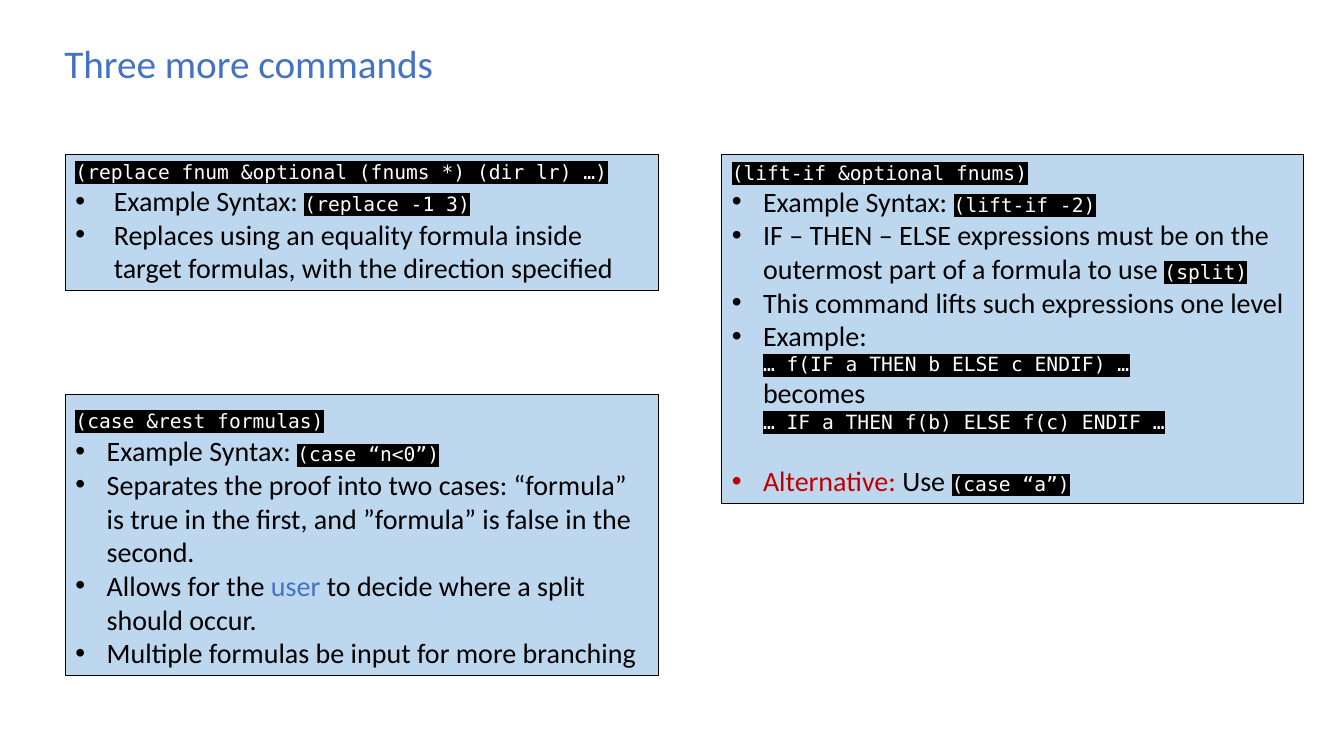
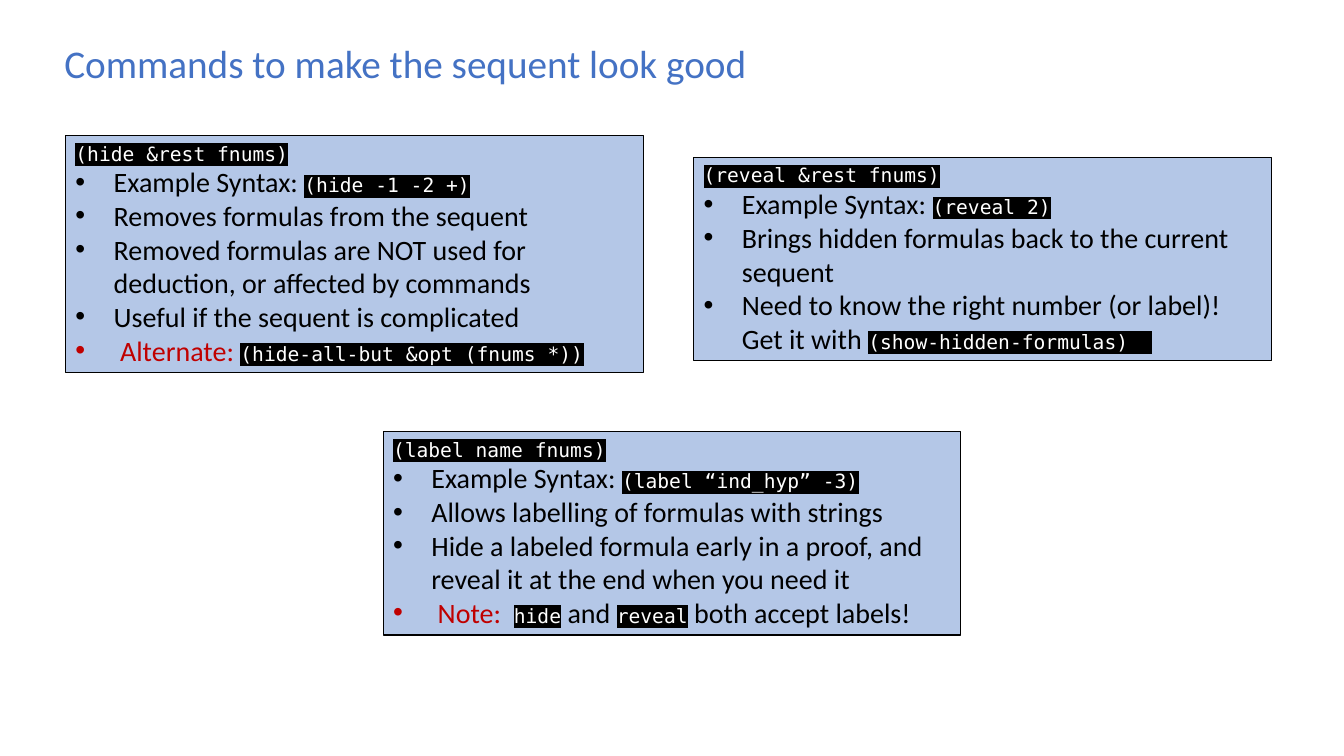
"""Build two slides that explain prover commands in boxed bullet lists."""
from copy import deepcopy

from lxml import etree
from pptx import Presentation
from pptx import util as u
from pptx.dml.color import RGBColor
from pptx.enum import shapes, text
from pptx.oxml import ns

BLACK = RGBColor(0x00, 0x00, 0x00)
WHITE = RGBColor(0xFF, 0xFF, 0xFF)
BLUE = RGBColor(0x44, 0x72, 0xC4)
RED = RGBColor(0xC0, 0x00, 0x00)
SKY = RGBColor(0xBD, 0xD7, 0xEE)
PERIWINKLE = RGBColor(0xB4, 0xC7, 0xE7)

SANS = {"name": "Calibri", "size": u.Pt(20)}
MONO = {"name": "DejaVu Sans Mono", "size": u.Pt(14)}
FORMATS = {
    "title": ({"name": "Calibri", "size": u.Pt(28)}, BLUE),
    "body": (SANS, BLACK),
    "blue": (SANS, BLUE),
    "red": (SANS, RED),
    "code": (MONO, WHITE),
}
FRAME = {
    "word_wrap": True,
    "auto_size": text.MSO_AUTO_SIZE.SHAPE_TO_FIT_TEXT,
    "vertical_anchor": text.MSO_ANCHOR.MIDDLE,
}
LEFT = 0.65
WIDE, NARROW = 0.38, 0.31


def code(words):
    return "code", words


def example(command):
    return ["Example Syntax: ", code(command)]


class Deck:
    def __init__(self):
        self.prs = Presentation()
        self.prs.slide_width = u.Inches(13.33)
        self.prs.slide_height = u.Inches(7.5)
        self.s = None

    def slide(self, title, width):
        self.s = self.prs.slides.add_slide(self.prs.slide_layouts[6])
        sp = self.s.shapes.add_textbox(*map(u.Inches, (0.54, 0.34, width, 0.57)))
        sp.text_frame.word_wrap = False
        self.run(sp.text_frame.paragraphs[0], "title", title)

    def run(self, p, style, words):
        r = p.add_run()
        r.text = words
        values, color = FORMATS[style]
        for name, value in values.items():
            setattr(r.font, name, value)
        r.font.color.rgb = color
        rpr = r._r.get_or_add_rPr()
        if style == "code":
            mark = etree.Element(ns.qn("a:highlight"))
            etree.SubElement(mark, ns.qn("a:srgbClr"), val=str(BLACK))
            rpr.find(ns.qn("a:solidFill")).addnext(mark)
        return rpr

    def line(self, p, parts):
        for part in parts:
            style, words = ("body", part) if isinstance(part, str) else part
            rpr = self.run(p, style, words.rstrip("\n"))
            if words.endswith("\n"):
                p.add_line_break()
                p._p.findall(ns.qn("a:br"))[-1].insert(0, deepcopy(rpr))

    def bullet(self, p, indent):
        ppr = p._p.get_or_add_pPr()
        ppr.set("marL", str(u.Inches(indent)))
        ppr.set("indent", str(-u.Inches(indent)))
        etree.SubElement(ppr, ns.qn("a:buFont"), typeface="Arial")
        etree.SubElement(ppr, ns.qn("a:buChar"), char="•")

    def box(self, place, fill, heading, bullets, indent=WIDE):
        sp = self.s.shapes.add_shape(shapes.MSO_SHAPE.RECTANGLE, *map(u.Inches, place))
        sp.shadow.inherit = False
        sp.fill.solid()
        sp.fill.fore_color.rgb = fill
        sp.line.color.rgb = BLACK
        sp.line.width = u.Pt(0.75)
        tf = sp.text_frame
        for name, value in FRAME.items():
            setattr(tf, name, value)
        p = tf.paragraphs[0]
        p.alignment = text.PP_ALIGN.LEFT
        self.line(p, heading)
        for parts in bullets:
            p = tf.add_paragraph()
            p.alignment = text.PP_ALIGN.LEFT
            self.bullet(p, indent)
            self.line(p, parts)
        return tf


deck = Deck()

deck.slide("Three more commands", 4.24)
deck.box((LEFT, 1.53, 5.88, 1.35), SKY,
         [code("(replace fnum &optional (fnums *) (dir lr) …)")], [
    example("(replace -1 3)"),
    ["Replaces using an equality formula inside target formulas, "
     "with the direction specified"],
])
deck.box((LEFT, 3.91, 5.88, 2.79), SKY, [code("(case &rest formulas)"), " "], [
    example("(case “n<0”)"),
    ["Separates the proof into two cases: “formula” is true in the first, "
     "and ”formula” is false in the second."],
    ["Allows for the ", ("blue", "user"), " to decide where a split should occur."],
    ["Multiple formulas be input for more branching"],
], NARROW)
lift = deck.box((7.16, 1.53, 5.77, 3.47), SKY, [code("(lift-if &optional fnums)")], [
    example("(lift-if -2)"),
    ["IF – THEN – ELSE expressions must be on the outermost part of a formula to use ",
     code("(split)")],
    ["This command lifts such expressions one level"],
    ["Example:\n", code("… f(IF a THEN b ELSE c ENDIF) …\n"),
     "becomes\n", code("… IF a THEN f(b) ELSE f(c) ENDIF …")],
    [("red", "Alternative:"), " Use ", code("(case “a”)")],
], NARROW)
lift.paragraphs[-1].space_before = u.Pt(22)

deck.slide("Commands to make the sequent look good", 8.14)
BOX_WIDTH = 5.73
deck.box((LEFT, 1.34, BOX_WIDTH, 2.36), PERIWINKLE, [code("(hide &rest fnums)")], [
    example("(hide -1 -2 +)"),
    ["Removes formulas from the sequent"],
    ["Removed formulas are NOT used for deduction, or affected by commands"],
    ["Useful if the sequent is complicated"],
    [("red", " Alternate: "), code("(hide-all-but &opt (fnums *))")],
])
deck.box((6.88, 1.56, BOX_WIDTH, 2.02), PERIWINKLE, [code("(reveal &rest fnums)")], [
    example("(reveal 2)"),
    ["Brings hidden formulas back to the current sequent"],
    ["Need to know the right number (or label)! Get it with ",
     code("(show-hidden-formulas)  ")],
])
deck.box((3.8, 4.28, BOX_WIDTH, 2.02), PERIWINKLE, [code("(label name fnums)")], [
    example("(label “ind_hyp” -3)"),
    ["Allows labelling of formulas with strings"],
    ["Hide a labeled formula early in a proof, and reveal it at the end when you need it"],
    [("red", " Note:  "), code("hide"), " and ", code("reveal"), " both accept labels!"],
])

deck.prs.save("out.pptx")
